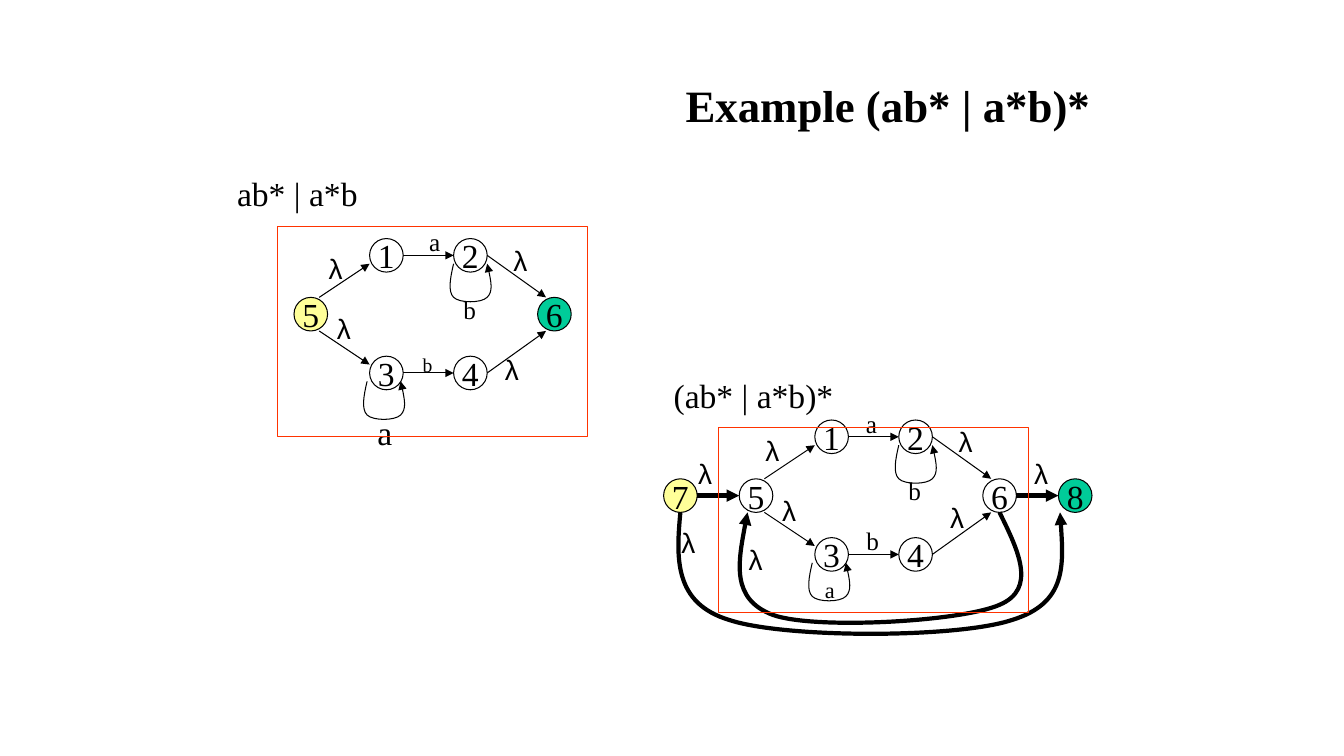
from pptx import Presentation
from pptx.dml.color import RGBColor as Rgb
from pptx.enum.shapes import MSO_CONNECTOR as Link, MSO_SHAPE as Form
from pptx.enum.text import MSO_ANCHOR as Anchor, MSO_AUTO_SIZE as Auto, PP_ALIGN as Align
from pptx.oxml.ns import qn
from pptx.oxml.xmlchemy import OxmlElement as Tag
from pptx.util import Pt

SCALE = 7620
SERIF = "Times New Roman"
BLACK, RED, YELLOW, GREEN = "000000", "FF3300", "FFFF99", "00CC99"
NODE = 40
LOOP = [(0, 30), (-4, 47), (-7, 63), (0, 70), (7, 77), (33, 77),
        (40, 70), (47, 63), (44, 47), (40, 30)]
STATES = {"1": (90, -70), "2": (190, -70), "3": (90, 70),
          "4": (190, 70), "5": (0, 0), "6": (290, 0)}
MOVES = [(130, -50, 190, -50), (130, 90, 190, 90), (30, 0, 90, -40),
         (30, 40, 90, 80), (230, 90, 300, 40), (230, -50, 300, 0)]
MARKS = [("λ", 38, 11, 43, 20), ("λ", 248, -70, 43, 20), ("b", 189, -10, 40, 18)]
BACK = [(1190, 610), (1212, 655), (1235, 701), (1190, 720), (1145, 740),
        (970, 750), (920, 732), (870, 713), (880, 661), (890, 610)]
SKIP = [(810, 610), (805, 664), (802, 718), (868, 738), (934, 760),
        (1139, 760), (1205, 738), (1270, 718), (1266, 664), (1262, 610)]
LABELS = [
    ("ab* | a*b", 270, 200, 168, 24), ("(ab* | a*b)*", 790, 440, 214, 24),
    ("a", 499, 264, 37, 18), ("a", 1019, 480, 37, 18),
    ("λ", 378, 294, 43, 20), ("λ", 588, 414, 43, 20),
    ("λ", 798, 620, 43, 20), ("λ", 878, 640, 43, 20),
    ("λ", 818, 538, 43, 20), ("λ", 1218, 538, 43, 20),
    ("λ", 898, 510, 43, 20), ("λ", 1118, 590, 43, 20),
    ("a", 437, 485, 42, 24), ("b", 491, 414, 36, 14),
    ("b", 1019, 620, 40, 18), ("a", 970, 680, 36, 16),
]


def px(*vals):
    return [round(v * SCALE) for v in vals]


def tint(code):
    return Rgb.from_string(code)


def style(item, **vals):
    for key, val in vals.items():
        setattr(item, key, val)


def write(shape, text, size, font=SERIF, bold=False, align=Align.CENTER, **frame):
    style(shape.text_frame, **frame)
    para = shape.text_frame.paragraphs[0]
    para.alignment = align
    run = para.add_run()
    run.text = text
    style(run.font, size=Pt(size), name=font, bold=bold)
    run.font.color.rgb = tint(BLACK)


def stroke(shape, width=0.75, color=BLACK):
    shape.line.width = Pt(width)
    shape.line.color.rgb = tint(color)


def point(shape):
    tail = Tag("a:tailEnd")
    tail.set("type", "triangle")
    shape.line._get_or_add_ln().append(tail)


def outline(slide, form, box, fill=None, color=BLACK):
    shape = slide.shapes.add_shape(form, *px(*box))
    shape.shadow.inherit = False
    if fill:
        shape.fill.solid()
        shape.fill.fore_color.rgb = tint(fill)
    else:
        shape.fill.background()
    stroke(shape, color=color)
    return shape


def state(slide, name, x, y, fill=None):
    shape = outline(slide, Form.OVAL, (x, y, NODE, NODE), fill)
    write(shape, name, 24, word_wrap=False, vertical_anchor=Anchor.MIDDLE)


def arrow(slide, ends, width=0.75):
    link = slide.shapes.add_connector(Link.STRAIGHT, *px(*ends))
    link._element.spPr.append(Tag("a:effectLst"))
    stroke(link, width)
    point(link)


def curve(slide, spots, width=0.75):
    pen = slide.shapes.build_freeform(*spots[0], scale=SCALE)
    pen.add_line_segments(spots[1:], close=False)
    shape = pen.convert_to_shape()
    steps = list(shape._element.iter(qn("a:lnTo")))
    for i in range(0, len(steps), 3):
        bend = Tag("a:cubicBezTo")
        steps[i].addprevious(bend)
        for step in steps[i:i + 3]:
            bend.append(step[0])
            step.getparent().remove(step)
    shape.shadow.inherit = False
    shape.fill.background()
    stroke(shape, width)
    point(shape)


def label(slide, text, x, y, wide, size):
    box = slide.shapes.add_textbox(*px(x, y, wide, 2 * size + 12))
    font = "Arial" if text == "λ" else SERIF
    write(box, text, size, font, word_wrap=False, auto_size=Auto.SHAPE_TO_FIT_TEXT)


def graph(slide, x, y, fills):
    for name, (dx, dy) in STATES.items():
        state(slide, name, x + dx, y + dy, fills.get(name))
    for x1, y1, x2, y2 in MOVES:
        arrow(slide, (x + x1, y + y1, x + x2, y + y2))
    for name, shift in (("2", 0), ("3", -3)):
        dx, dy = STATES[name]
        curve(slide, [(x + dx + shift + u, y + dy + v) for u, v in LOOP])
    for text, dx, dy, wide, size in MARKS:
        label(slide, text, x + dx, y + dy, wide, size)


def main():
    deck = Presentation()
    deck.slide_width, deck.slide_height = px(1600, 900)
    slide = deck.slides.add_slide(deck.slide_layouts[6])
    title = slide.shapes.add_textbox(*px(290, 50, 1020, 150))
    write(title, "Example (ab* | a*b)*", 32, bold=True, align=Align.RIGHT,
          word_wrap=True, vertical_anchor=Anchor.MIDDLE)
    graph(slide, 350, 354, {"5": YELLOW, "6": GREEN})
    graph(slide, 880, 570, {})
    state(slide, "7", 790, 570, YELLOW)
    state(slide, "8", 1260, 570, GREEN)
    arrow(slide, (830, 590, 880, 590), 3)
    arrow(slide, (1210, 590, 1260, 590), 3)
    curve(slide, BACK, 3)
    curve(slide, SKIP, 3)
    for item in LABELS:
        label(slide, *item)
    outline(slide, Form.RECTANGLE, (330, 270, 370, 250), color=RED)
    outline(slide, Form.RECTANGLE, (855, 509, 370, 220), color=RED)
    deck.save("out.pptx")


if __name__ == "__main__":
    main()
